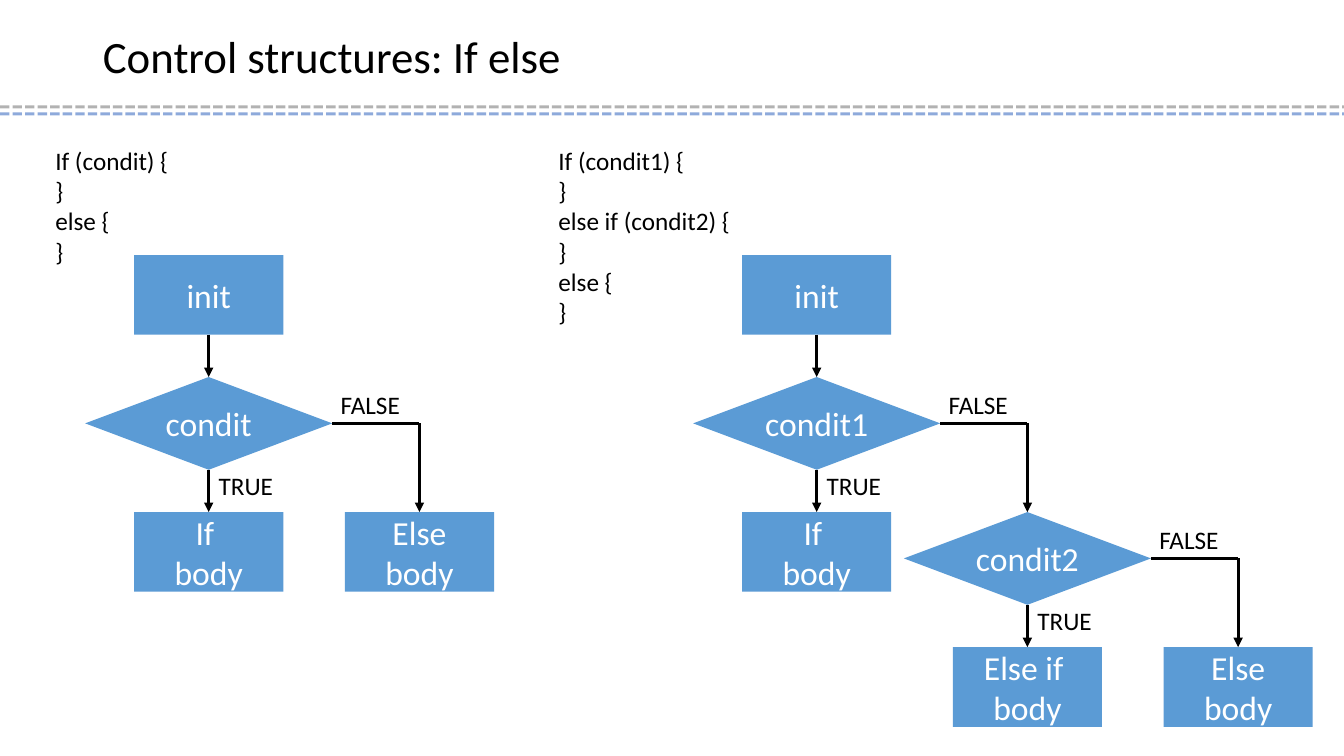
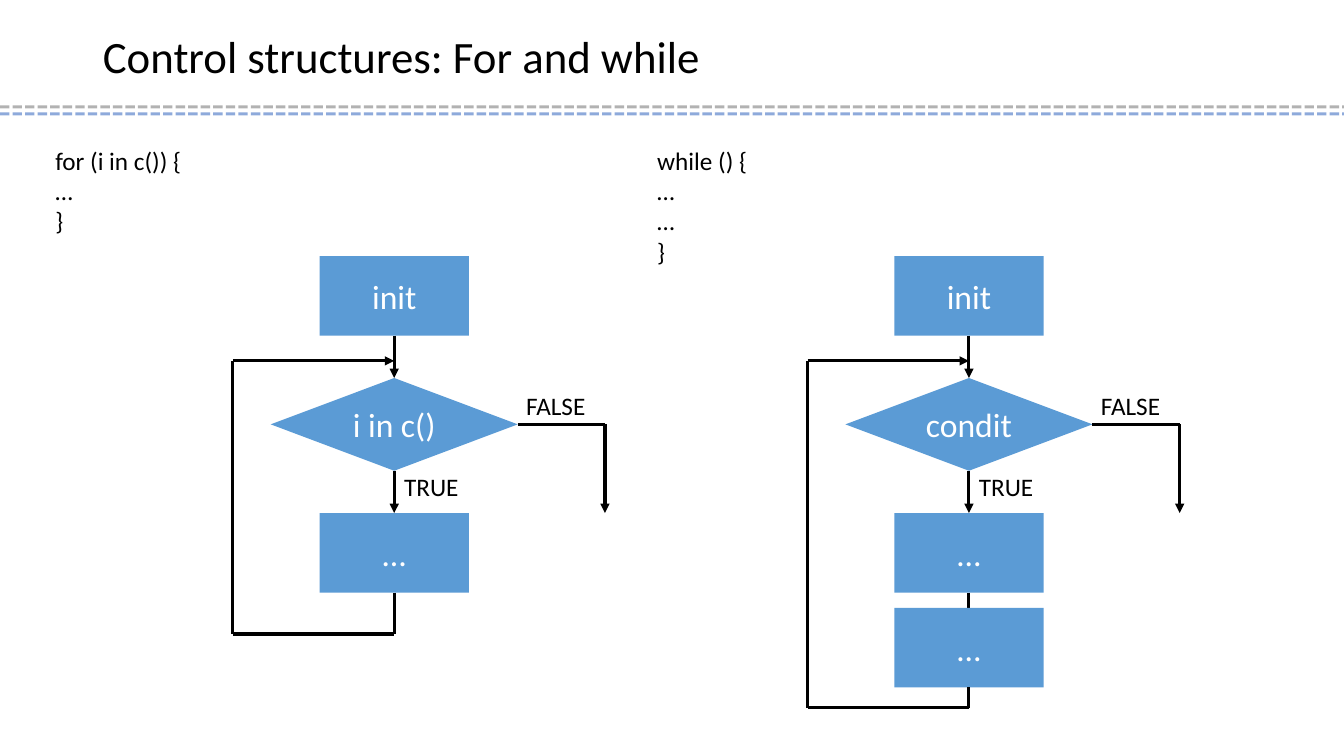
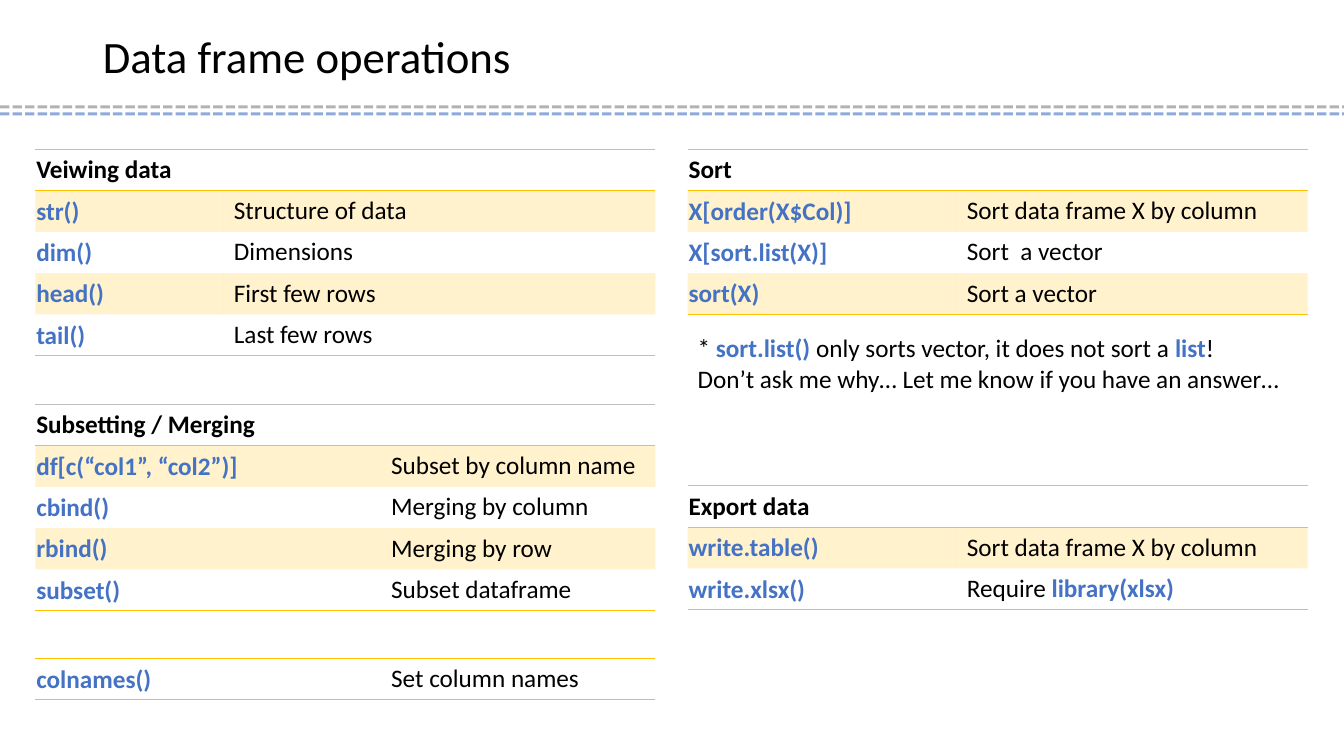
from lxml import etree
from pptx import Presentation
from pptx import util as u
from pptx.dml.color import RGBColor
from pptx.enum import dml, shapes, text
from pptx.oxml.ns import qn

BLACK = RGBColor(0x00, 0x00, 0x00)
WHITE = RGBColor(0xFF, 0xFF, 0xFF)
GREY = RGBColor(0x80, 0x80, 0x80)
PALE_GREY = RGBColor(0xBF, 0xBF, 0xBF)
CODE_BLUE = RGBColor(0x44, 0x72, 0xC4)
BOX_BLUE = RGBColor(0x5B, 0x9B, 0xD5)
GOLD = RGBColor(0xFF, 0xC0, 0x00)

FONT = "Calibri"
NO_STYLE = "{2D5ABB26-0587-4C30-8999-92F81FD0307C}"
W, H = 13.33, 7.5

# Flow chart grid
BOX_W, BOX_H = 1.48, 0.79
DIA_W, DIA_H = 2.45, 0.92
ARROW = 0.42                # length of a vertical arrow
BRANCH = 2.09               # distance from a column to its FALSE column
LOOP = 1.6                  # distance from a column to its return line
LEVEL = DIA_H + ARROW       # from the top of a decision to what follows it
CODE_TOP = 1.39

# Table grid
ROW_H = 0.41
TABLE_W = 6.15
LEFT, RIGHT = 0.35, 6.82


def inches(*lengths):
    return [u.Inches(n) for n in lengths]


def set_alpha(el, percent):
    for clr in el.iter(qn("a:srgbClr")):
        etree.SubElement(clr, qn("a:alpha"), val=str(percent * 1000))


def write(tf, paras, size=18, color=BLACK, bold=False, align=None, spacing=None):
    """Fill a text frame; a paragraph is a string or a list of (text, is_code)."""
    for i, para in enumerate(paras):
        p = tf.add_paragraph() if i else tf.paragraphs[0]
        p.alignment = align
        p.line_spacing = spacing
        for words, is_code in [(para, False)] if isinstance(para, str) else para:
            r = p.add_run()
            r.text = words
            r.font.name = FONT
            r.font.size = u.Pt(size)
            r.font.bold = bold or is_code
            r.font.color.rgb = CODE_BLUE if is_code else color


def add_text(sps, x, y, w, h, paras):
    tf = sps.add_textbox(*inches(x, y, w, h)).text_frame
    tf.word_wrap = False
    tf.auto_size = text.MSO_AUTO_SIZE.SHAPE_TO_FIT_TEXT
    write(tf, paras)


def add_line(sps, x1, y1, x2, y2, color=BLACK, arrow=False):
    c = sps.add_connector(shapes.MSO_CONNECTOR.STRAIGHT, *inches(x1, y1, x2, y2))
    c.line.color.rgb = color
    c.line.width = u.Pt(2.25)
    if arrow:
        etree.SubElement(c.line._get_or_add_ln(), qn("a:tailEnd"), type="triangle")
    etree.SubElement(c._element.spPr, qn("a:effectLst"))
    return c


def add_node(sps, kind, cx, top, w, h, label):
    sp = sps.add_shape(kind, *inches(cx - w / 2, top, w, h))
    sp.shadow.inherit = False
    sp.fill.solid()
    sp.fill.fore_color.rgb = BOX_BLUE
    sp.line.fill.background()
    sp.text_frame.vertical_anchor = text.MSO_ANCHOR.MIDDLE
    write(sp.text_frame, label.split("\n"), size=24, color=WHITE,
          align=text.PP_ALIGN.CENTER)


def add_box(sps, cx, top, label):
    add_node(sps, shapes.MSO_SHAPE.RECTANGLE, cx, top, BOX_W, BOX_H, label)


def add_decision(sps, cx, top, label):
    """Diamond with its TRUE arrow down and its FALSE branch to the right."""
    add_node(sps, shapes.MSO_SHAPE.DIAMOND, cx, top, DIA_W, DIA_H, label)
    end, mid = top + LEVEL, top + DIA_H / 2
    add_line(sps, cx, top + DIA_H, cx, end, arrow=True)
    add_line(sps, cx + DIA_W / 2, mid, cx + BRANCH, mid)
    add_line(sps, cx + BRANCH, mid, cx + BRANCH, end, arrow=True)
    add_text(sps, cx, top + 0.88, 0.75, 0.4, ["TRUE"])
    add_text(sps, cx + 1.21, top + 0.07, 0.79, 0.4, ["FALSE"])


def start_flow(s, cx, top, condition):
    """Group with init and first decision; returns its shapes and the next top."""
    sps = s.shapes.add_group_shape().shapes
    bottom = top + BOX_H
    add_box(sps, cx, top, "init")
    add_line(sps, cx, bottom, cx, bottom + ARROW, arrow=True)
    add_decision(sps, cx, bottom + ARROW, condition)
    return sps, bottom + ARROW + LEVEL


def add_loop(s, cx, top, condition, steps, gap, drop):
    """Flow whose steps, gap apart, return to above the condition."""
    sps, y = start_flow(s, cx, top, condition)
    for i in range(steps):
        add_box(sps, cx, y, "…")
        y += BOX_H
        length = gap if i < steps - 1 else drop
        add_line(sps, cx, y, cx, y + length)
        y += length
    back, x = top + BOX_H + 0.25, cx - LOOP
    add_line(sps, x, y, cx, y)
    add_line(sps, x, back, x, y)
    add_line(sps, x, back, cx, back, arrow=True)


def set_border(cell, side, color):
    tc_pr = cell._tc.get_or_add_tcPr()
    ln = etree.Element(qn("a:ln" + side), w=str(u.Pt(1)))
    fill = etree.SubElement(ln, qn("a:solidFill"))
    etree.SubElement(fill, qn("a:srgbClr"), val=str(color))
    tc_pr.insert(0, ln)


def add_table(s, x, y, first_col, rows, header=None, top=PALE_GREY, bottom=GOLD):
    """Rows of (code, description), banded below an optional header."""
    rows = ([(header, "")] if header else []) + rows
    last = len(rows) - 1
    frame = s.shapes.add_table(
        len(rows), 2, *inches(x, y, TABLE_W, ROW_H * len(rows)))
    t = frame.table
    t.first_row = t.horz_banding = False
    t._tbl.tblPr.find(qn("a:tableStyleId")).text = NO_STYLE
    for col, width in zip(t.columns, (first_col, TABLE_W - first_col)):
        col.width = u.Inches(width)
    for i, row in enumerate(rows):
        t.rows[i].height = u.Inches(ROW_H)
        is_header = bool(header) and i == 0
        for j, content in enumerate(row):
            cell = t.cell(i, j)
            if j == 0:
                cell.vertical_anchor = text.MSO_ANCHOR.MIDDLE
                cell.margin_left = cell.margin_right = cell.margin_top = u.Inches(0.01)
                cell.margin_bottom = 0
                content = [(content, not is_header)]
            if content:
                write(cell.text_frame, [content], bold=is_header)
            if header and i % 2:
                cell.fill.solid()
                cell.fill.fore_color.rgb = GOLD
                set_alpha(cell._tc.tcPr, 20)
            else:
                cell.fill.background()
            if is_header or i == last:
                set_border(cell, "B", bottom if i == last else GOLD)
            if i == 0:
                set_border(cell, "T", top)
    if header:
        t.cell(0, 0).merge(t.cell(0, 1))


def prepare_layout(prs):
    """Put the title's place and the two dashed rules on the layout."""
    layout = prs.slide_layouts[5]
    title = layout.placeholders[0]
    title.left, title.top, title.width, title.height = inches(0.92, 0.18, 11.5, 0.81)
    return layout


def add_rules(s, layout):
    """Draw the rules with a slide's tools, then hand them to the layout."""
    for i, (y, color) in enumerate([(1.06, GREY), (1.13, CODE_BLUE)]):
        c = add_line(s.shapes, 0, y, W, y, color=color)
        c.line.dash_style = dml.MSO_LINE.SQUARE_DOT
        set_alpha(c._element, 60)
        c._element.nvCxnSpPr.cNvPr.set("id", str(20 + i))
        layout.shapes.element.append(c._element)


def add_slide(prs, layout, title):
    s = prs.slides.add_slide(layout)
    tf = s.shapes.title.text_frame
    tf.auto_size = text.MSO_AUTO_SIZE.NONE
    tf.vertical_anchor = text.MSO_ANCHOR.MIDDLE
    write(tf, [title], size=32, align=text.PP_ALIGN.LEFT, spacing=0.9)
    return s


def if_else_slide(prs, layout):
    s = add_slide(prs, layout, "Control structures: If else")
    top, cx = 2.53, 2.07
    sps, y = start_flow(s, cx, top, "condit")
    add_box(sps, cx, y, "If \nbody")
    add_box(sps, cx + BRANCH, y, "Else body")

    cx = 8.1
    sps, y = start_flow(s, cx, top, "condit1")
    add_box(sps, cx, y, "If \nbody")
    add_decision(sps, cx + BRANCH, y, "condit2")
    add_box(sps, cx + BRANCH, y + LEVEL, "Else if \nbody")
    add_box(sps, cx + 2 * BRANCH, y + LEVEL, "Else body")

    add_text(s.shapes, 0.45, CODE_TOP, 1.34, 1.31,
             ["If (condit) {", "}", "else {", "}"])
    add_text(s.shapes, 5.44, CODE_TOP, 1.93, 1.92,
             ["If (condit1) {", "}", "else if (condit2) {", "}", "else {", "}"])
    return s


def loops_slide(prs, layout):
    s = add_slide(prs, layout, "Control structures: For and while")
    add_text(s.shapes, 0.45, CODE_TOP, 1.47, 1.01, ["for (i in c()) {", "…", "}"])
    add_loop(s, 3.91, 2.54, "i in c()", steps=1, gap=0, drop=0.41)
    add_loop(s, 9.61, 2.54, "condit", steps=2, gap=0.15, drop=0.2)
    add_text(s.shapes, 6.42, CODE_TOP, 1.11, 1.31, ["while () {", "…", "…", "}"])


def data_frame_slide(prs, layout):
    s = add_slide(prs, layout, "Data frame operations")
    add_table(s, LEFT, 1.48, 1.87, [
        ("str()", "Structure of data"),
        ("dim()", "Dimensions"),
        ("head()", "First few rows"),
        ("tail()", "Last few rows"),
    ], header="Veiwing data", bottom=PALE_GREY)
    add_table(s, LEFT, 4.01, 3.43, [
        ("df[c(“col1”, “col2”)]", "Subset by column name"),
        ("cbind()", "Merging by column"),
        ("rbind()", "Merging by row"),
        ("subset()", "Subset dataframe"),
    ], header="Subsetting / Merging")
    add_table(s, RIGHT, 1.48, 2.67, [
        ("X[order(X$Col)]", "Sort data frame X by column"),
        ("X[sort.list(X)]", "Sort  a vector"),
        ("sort(X)", "Sort a vector"),
    ], header="Sort")
    add_text(s.shapes, RIGHT, 3.25, 6.03, 0.71, [
        [("* ", False), ("sort.list() ", True),
         ("only sorts vector, it does not sort a ", False),
         ("list", True), ("!", False)],
        "Don’t ask me why… Let me know if you have an answer…",
    ])
    add_table(s, RIGHT, 4.82, 2.67, [
        ("write.table()", "Sort data frame X by column"),
        ("write.xlsx()", [("Require ", False), ("library(xlsx)", True)]),
    ], header="Export data")
    add_table(s, LEFT, 6.53, 3.43, [("colnames()", "Set column names")], top=GOLD)


def main():
    prs = Presentation()
    prs.slide_width, prs.slide_height = inches(W, H)
    layout = prepare_layout(prs)
    add_rules(if_else_slide(prs, layout), layout)
    loops_slide(prs, layout)
    data_frame_slide(prs, layout)
    prs.save("out.pptx")


if __name__ == "__main__":
    main()
